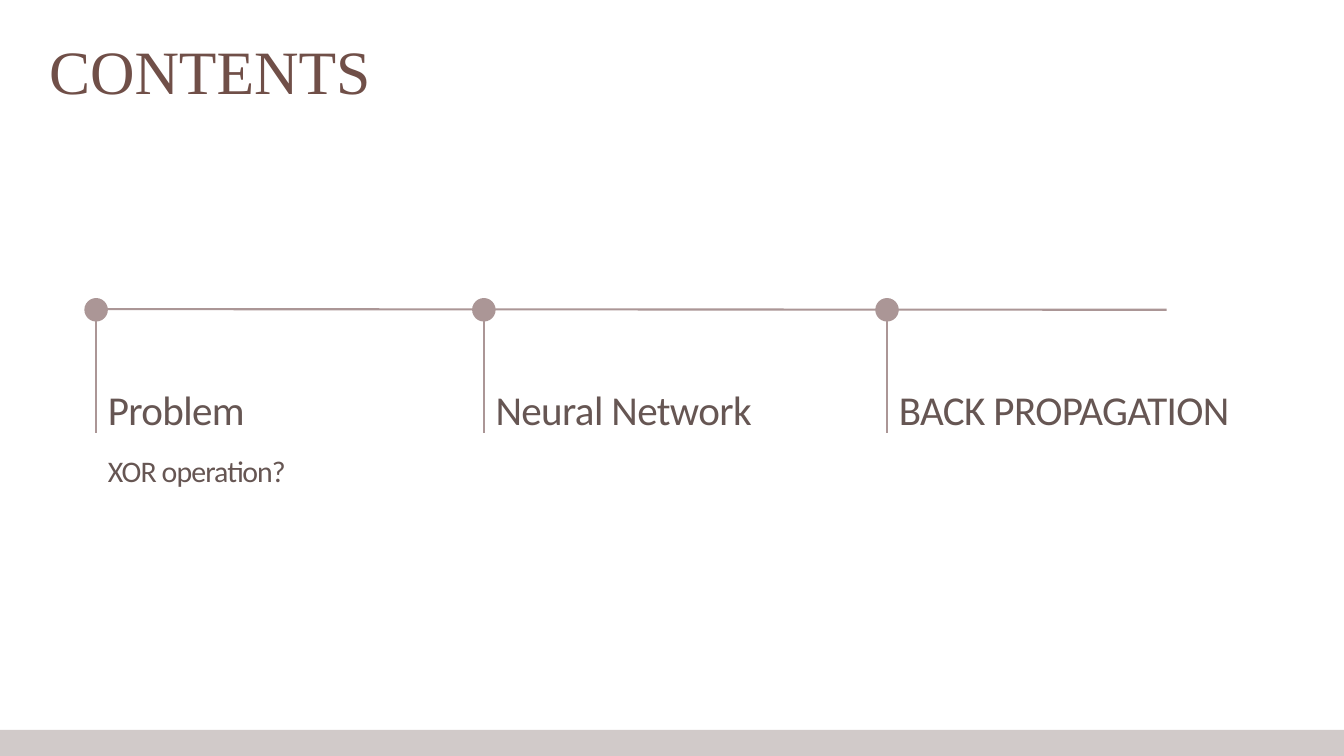
from pptx import Presentation
from pptx.dml.color import RGBColor
from pptx.enum.shapes import MSO_CONNECTOR, MSO_SHAPE
from pptx.oxml.ns import qn
from pptx.util import Inches, Pt
from lxml import etree

OVAL, RECTANGLE = MSO_SHAPE.OVAL, MSO_SHAPE.RECTANGLE
STRAIGHT = MSO_CONNECTOR.STRAIGHT

MAUVE = RGBColor(0xAB, 0x96, 0x96)
TAUPE = RGBColor(0x66, 0x56, 0x53)
BROWN = RGBColor(0x70, 0x4F, 0x48)
PALE = RGBColor(0xD1, 0xCA, 0xC9)

WIDTH, HEIGHT = 20, 11.25
DOT = 0.35
FORMATS = {
    "title": {"name": "Times New Roman", "size": Pt(66), "color": BROWN, "leading": 72.2, "spacing": 0},
    "heading": {"name": "Calibri", "size": Pt(44), "color": TAUPE, "leading": 43.2, "spacing": -70},
    "detail": {"name": "Calibri", "size": Pt(32), "color": TAUPE, "leading": 33.6, "spacing": -100},
}
MILESTONES = [
    (1.43, 3.98, "Problem", "XOR operation?"),
    (7.2, 3.98, "Neural Network", None),
    (13.2, 5.19, "BACK PROPAGATION", None),
]


def add_words(slide, box, words, style):
    """Place one line of text in a box without margins."""
    label = slide.shapes.add_textbox(*map(Inches, box))
    frame = label.text_frame
    frame.word_wrap = True
    for side in ("left", "top", "right", "bottom"):
        setattr(frame, f"margin_{side}", 0)
    look = FORMATS[style]
    line = frame.paragraphs[0]
    line.line_spacing = Pt(look["leading"])
    run = line.add_run()
    run.text = words
    for attribute in ("name", "size"):
        setattr(run.font, attribute, look[attribute])
    run.font.color.rgb = look["color"]
    if look["spacing"]:
        run.font._element.set("spc", str(look["spacing"]))


def add_rule(slide, start, end):
    """Draw a plain mauve line between two points."""
    rule = slide.shapes.add_connector(STRAIGHT, *map(Inches, (*start, *end)))
    rule.line.color.rgb = MAUVE
    rule.line.width = Pt(2.25)
    etree.SubElement(rule._element.spPr, qn("a:effectLst"))


def add_solid(slide, kind, box, color):
    """Draw a filled shape without outline."""
    solid = slide.shapes.add_shape(kind, *map(Inches, box))
    solid.shadow.inherit = False
    solid.fill.solid()
    solid.fill.fore_color.rgb = color
    solid.line.fill.background()


def add_milestone(slide, box, heading, detail):
    """Hang a dot, a stem and its words from the top left of the box."""
    left, top, width, height = box
    text_left = left + DOT / 2
    add_solid(slide, OVAL, (left - DOT / 2, top - DOT / 2, DOT, DOT), MAUVE)
    add_rule(slide, (left, top), (left, top + height))
    add_words(slide, (text_left, top + height - 0.59, width, 0.62), heading, "heading")
    if detail:
        add_words(slide, (text_left, top + height + 0.36, 5.42, 0.49), detail, "detail")


def add_timeline(slide, box):
    """Draw the axis across the box and every milestone on it."""
    left, top, width, height = box
    add_rule(slide, (left, top - 0.01), (left + width, top))
    for position, text_width, heading, detail in MILESTONES:
        add_milestone(slide, (position, top, text_width, height), heading, detail)


def main():
    """Build the contents slide."""
    deck = Presentation()
    deck.slide_width, deck.slide_height = Inches(WIDTH), Inches(HEIGHT)
    slide = deck.slides.add_slide(deck.slide_layouts[6])
    add_timeline(slide, (MILESTONES[0][0], 4.61, 15.93, 1.83))
    add_solid(slide, RECTANGLE, (0, 10.86, WIDTH, HEIGHT - 10.86), PALE)
    add_words(slide, (0.73, 0.58, 8.66, 1.01), "CONTENTS", "title")
    deck.save("out.pptx")


if __name__ == "__main__":
    main()
